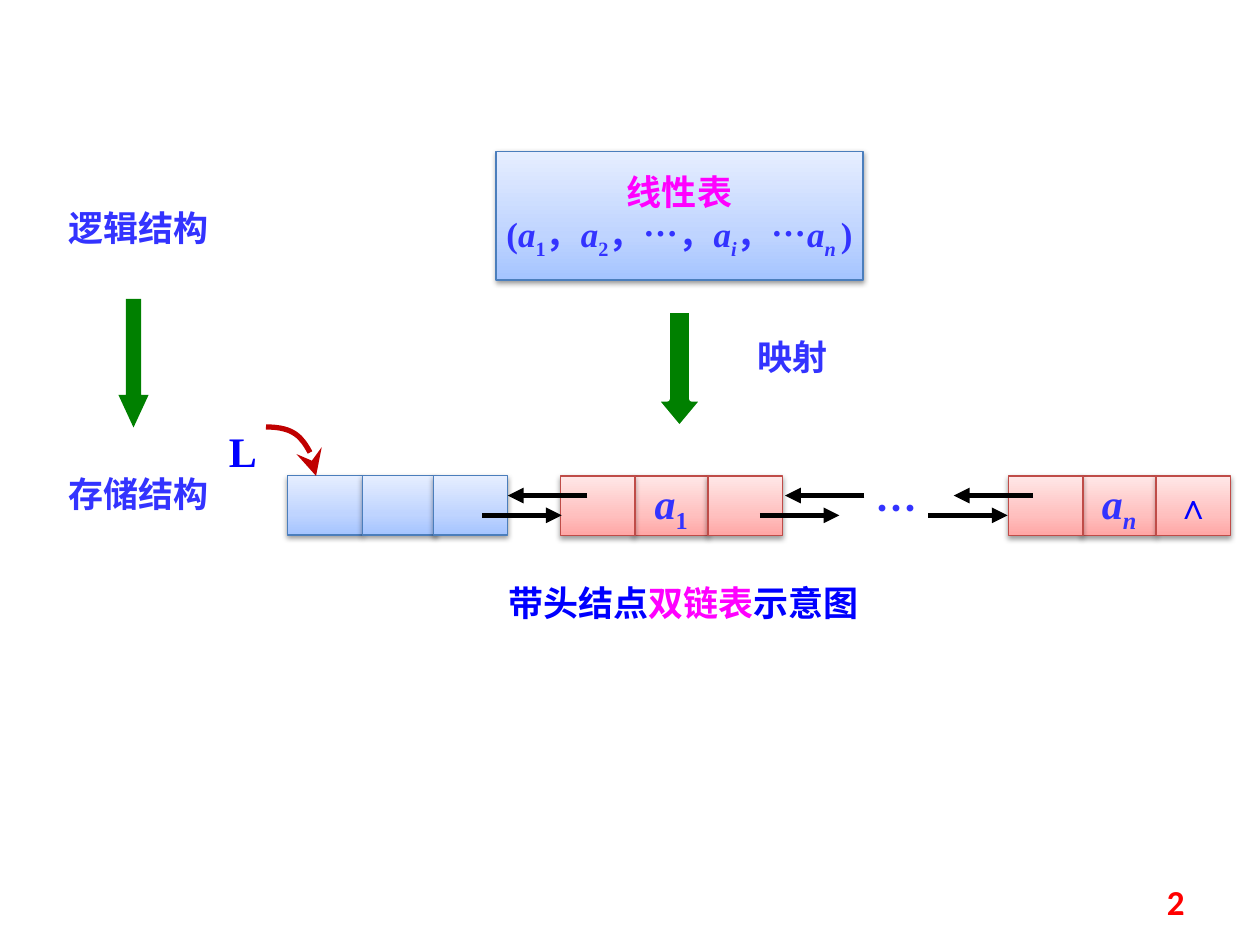
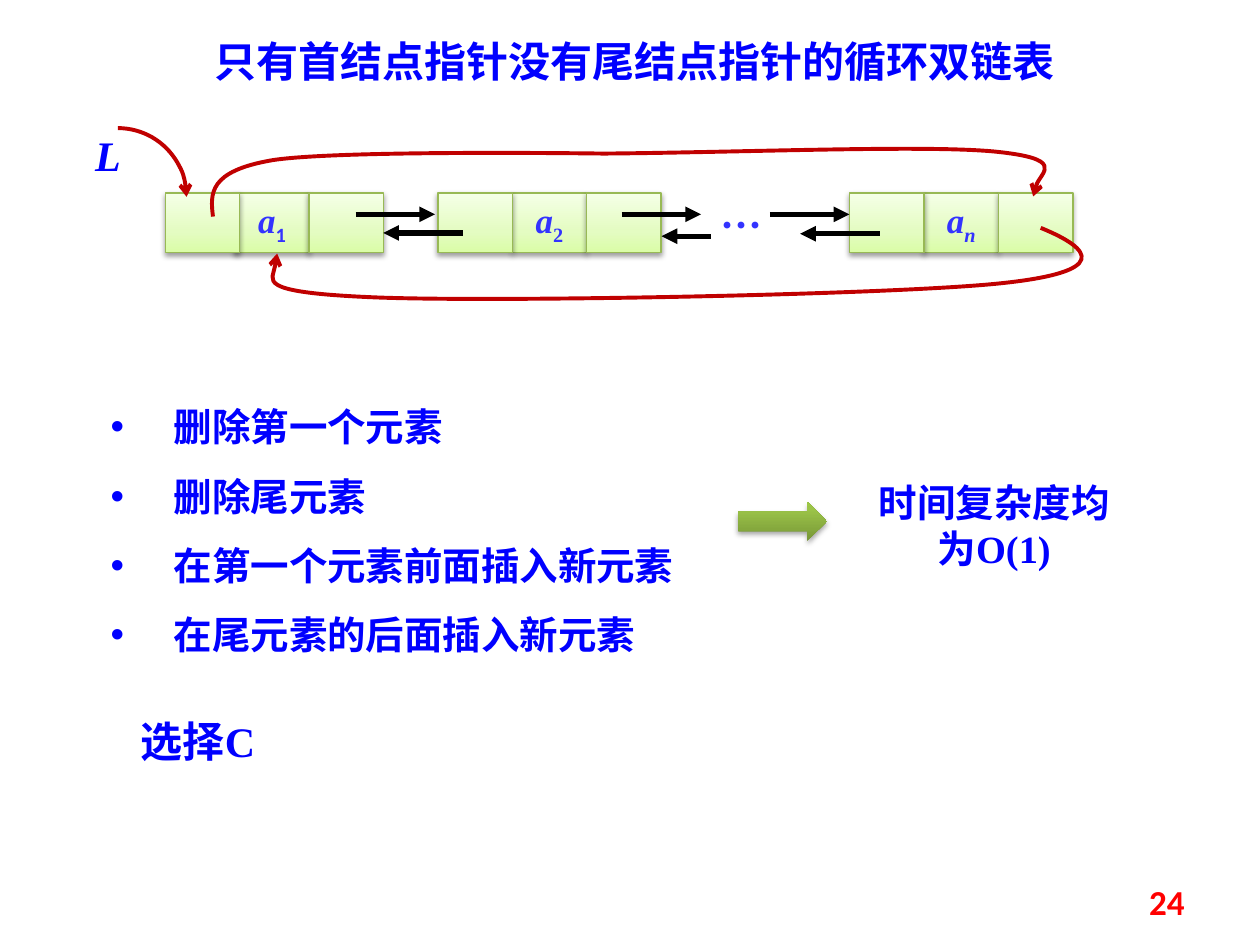
from dataclasses import dataclass

from lxml.etree import SubElement
from pptx import Presentation
from pptx.dml.color import RGBColor
from pptx.enum.shapes import MSO_CONNECTOR, MSO_SHAPE
from pptx.enum.text import MSO_ANCHOR, PP_ALIGN
from pptx.oxml.ns import qn
from pptx.util import Pt

# Shared look
LATIN, HAN, NUMBER_FONT, BULLET_FONT = "Times New Roman", "Noto Sans CJK SC", "Calibri", "Arial"
BLUE, VIOLET, MAGENTA = "0000FF", "3333FF", "FF00FF"
RED, DARK_RED, GREEN, BLACK, WHITE = "FF0000", "C00000", "008000", "000000", "FFFFFF"
# Gradient stops (percent, colour) and border of each kind of box
BLUE_BOX = ([(0, "A4C4FF"), (35, "BFD4FF"), (100, "E6EEFF")], "4B7EBC")
PINK_BOX = ([(0, "FFA6A5"), (35, "FFC0BF"), (100, "FFE7E7")], "BF4C48")
GREEN_BOX = ([(0, "DAFDA7"), (35, "E4FCC2"), (100, "F5FFE7")], "98B955")
GREEN_ARROW = [(0, "779737"), (80, "9BC348"), (100, "9DC746")]
CELL_WIDTH, CELL_HEIGHT = 42.6, 34
LINK_LENGTH = 45.4
CENTER, LEFT, RIGHT = PP_ALIGN.CENTER, PP_ALIGN.LEFT, PP_ALIGN.RIGHT


@dataclass
class Span:
    text: str
    italic: bool = False
    sub: bool = False
    colour: str = ""
    font: str = ""


def rgb(hex_colour):
    return RGBColor.from_string(hex_colour)


def indexed(index, italic=False, font=""):
    """The element name a with a subscript."""
    return [Span("a", italic=True), Span(index, italic=italic, sub=True, font=font)]


# Text
def add_span(para, span):
    run = para.add_run()
    run.text = span.text
    if span.italic:
        run.font.italic = True
    if span.sub:
        run.font._element.set("baseline", "-25000")
    if span.colour:
        run.font.color.rgb = rgb(span.colour)
    if span.font:
        run.font.name = span.font


def add_bullet(para):
    properties = para._p.get_or_add_pPr()
    properties.set("marL", str(Pt(36)))
    properties.set("indent", str(-Pt(36)))
    SubElement(properties, qn("a:buFont"), typeface=BULLET_FONT)
    SubElement(properties, qn("a:buChar"), char="•")


def write(frame, paragraphs, size, colour, font=LATIN, align=CENTER, bullets=False):
    for number, spans in enumerate(paragraphs):
        para = frame.add_paragraph() if number else frame.paragraphs[0]
        para.alignment = align
        if bullets:
            para.line_spacing = 1.5
            add_bullet(para)
        para.font.size = Pt(size)
        para.font.bold = True
        para.font.color.rgb = rgb(colour)
        para.font.name = font
        SubElement(para.font._element, qn("a:ea"), typeface=HAN)
        for span in spans:
            add_span(para, span)


def add_text(page, place, paragraphs, size, colour, **style):
    box = page.shapes.add_textbox(*map(Pt, place))
    box.text_frame.word_wrap = True
    write(box.text_frame, paragraphs, size, colour, **style)
    return box


def add_label(page, place, text, size=20, colour=VIOLET, **style):
    return add_text(page, place, [[Span(text)]], size, colour, **style)


def add_page_number(page, number):
    box = add_label(page, (516.2, 500.7, 167.8, 28.8), number, 20, RED,
                    font=NUMBER_FONT, align=RIGHT)
    box.text_frame.vertical_anchor = MSO_ANCHOR.MIDDLE


def set_title(page, place, text):
    title = page.shapes.title
    title.left, title.top, title.width, title.height = map(Pt, place)
    title.text_frame.word_wrap = True
    title.text_frame.vertical_anchor = MSO_ANCHOR.TOP
    write(title.text_frame, [[Span(text)]], 24, BLUE)


# Shapes
def fill_gradient(shape, stops):
    shape.fill.gradient()
    shape.fill.gradient_angle = 90
    stop_list = shape._element.spPr.find(".//" + qn("a:gsLst"))
    for stop in list(stop_list):
        stop_list.remove(stop)
    for percent, colour in stops:
        stop = SubElement(stop_list, qn("a:gs"), pos=str(percent * 1000))
        SubElement(stop, qn("a:srgbClr"), val=colour)


def add_shadow(shape, opacity=38, distance=1.6):
    effects = shape._element.spPr.find(qn("a:effectLst"))
    shadow = SubElement(effects, qn("a:outerShdw"), blurRad=str(Pt(3.1)),
                        dist=str(Pt(distance)), dir="5400000", rotWithShape="0")
    colour = SubElement(shadow, qn("a:srgbClr"), val=BLACK)
    SubElement(colour, qn("a:alpha"), val=str(opacity * 1000))


def add_plain(page, kind, place):
    shape = page.shapes.add_shape(kind, *map(Pt, place))
    shape.shadow.inherit = False
    shape.line.fill.background()
    return shape


def add_box(page, place, palette, paragraphs=(), size=20, colour=VIOLET):
    stops, border = palette
    box = add_plain(page, MSO_SHAPE.RECTANGLE, place)
    fill_gradient(box, stops)
    box.line.color.rgb = rgb(border)
    box.line.width = Pt(0.75)
    add_shadow(box)
    box.text_frame.word_wrap = False
    box.text_frame.vertical_anchor = MSO_ANCHOR.MIDDLE
    write(box.text_frame, paragraphs, size, colour)


def add_node(page, left, top, palette, data=None, size=20, offsets=(0, 42.5, 85),
             end=None, order=(1, 2, 0)):
    """A list node: previous pointer, data, next pointer."""
    for part in order:
        place = (left + offsets[part], top, CELL_WIDTH, CELL_HEIGHT)
        if part == 1 and data:
            add_box(page, place, palette, [data], size)
        elif part == 2 and end:
            add_box(page, place, palette, [[Span(end)]], 20, BLUE)
        else:
            add_box(page, place, palette)


def add_down_arrow(page, place, head, outline=None):
    arrow = add_plain(page, MSO_SHAPE.DOWN_ARROW, place)
    arrow.adjustments[0], arrow.adjustments[1] = 0.5, head
    arrow.fill.solid()
    arrow.fill.fore_color.rgb = rgb(GREEN)
    if outline:
        arrow.line.color.rgb = rgb(outline)
        arrow.line.width = Pt(3)


# Lines and curves
def style_line(shape, colour, width, head, head_size="med"):
    shape.line.color.rgb = rgb(colour)
    shape.line.width = Pt(width)
    SubElement(shape.line._get_or_add_ln(), qn("a:tailEnd"),
               type=head, w=head_size, len=head_size)


def add_link(page, start, end, top):
    link = page.shapes.add_connector(MSO_CONNECTOR.STRAIGHT, Pt(start), Pt(top), Pt(end), Pt(top))
    style_line(link, BLACK, 3, "triangle")
    SubElement(link._element.spPr, qn("a:effectLst"))


def add_curve(page, start, points, width=2.25, head="arrow", head_size="med"):
    """Joined cubic curves: every three points are two controls and an end."""
    builder = page.shapes.build_freeform(Pt(start[0]), Pt(start[1]))
    builder.add_line_segments([(Pt(x), Pt(y)) for x, y in points], close=False)
    curve = builder.convert_to_shape()
    outline = curve._element.spPr.find(".//" + qn("a:path"))
    segments = outline.findall(qn("a:lnTo"))
    for first in range(0, len(segments), 3):
        cubic = SubElement(outline, qn("a:cubicBezTo"))
        for segment in segments[first:first + 3]:
            cubic.append(segment[0])
            outline.remove(segment)
    curve.shadow.inherit = False
    curve.fill.background()
    style_line(curve, DARK_RED, width, head, head_size)


def build_mapping_page(deck):
    page = deck.slides.add_slide(deck.slide_layouts[6])
    # Logical structure
    sequence = [Span("("), *indexed("1"), Span("，"), *indexed("2"), Span("，…，"),
                *indexed("i", True), Span("，…"), *indexed("n ", True), Span(")")]
    add_box(page, (283.5, 86.4, 209.7, 73.7), BLUE_BOX,
            [[Span("线性表", colour=MAGENTA)], sequence])
    add_down_arrow(page, (374.3, 177.3, 28, 67.5), 0.6, WHITE)
    add_label(page, (413.6, 188.4, 78.5, 31), "映射", font=HAN)
    add_label(page, (11.2, 114.3, 136, 31.5), "逻辑结构", font=HAN)
    add_down_arrow(page, (67.7, 170.8, 17.2, 73.5), 1.08)
    add_label(page, (11.2, 266.2, 136, 31.5), "存储结构", font=HAN)

    # Linked nodes
    top = 272
    add_node(page, 164.4, top - 0.2, BLUE_BOX, offsets=(0, 42.7, 83.2), order=(0, 1, 2))
    add_node(page, 320.2, top, PINK_BOX, indexed("1"), 24, offsets=(0, 42, 84.4))
    add_node(page, 576.2, top, PINK_BOX, indexed("n", True), 24, offsets=(0, 42, 84.4), end="∧")
    add_label(page, (489.4, top, LINK_LENGTH, 36), "…", 24, font=HAN)
    for start in (275.6, 434.2, 530.4):
        add_link(page, start, start + LINK_LENGTH, 294.5)
    for end in (290.2, 448.6, 545):
        add_link(page, end + LINK_LENGTH, end, 283.2)

    # Head pointer and caption
    add_curve(page, (152, 244), [(168, 244), (180.6, 256.4), (180.6, 272)], 3, "stealth", "lg")
    add_label(page, (123.8, 239.8, 33.8, 36), "L", 24, BLUE, align=LEFT)
    caption = [Span("带头结点"), Span("双链表", colour=MAGENTA), Span("示意图")]
    add_text(page, (258.6, 328.6, 264.2, 31.5), [caption], 20, BLUE, font=HAN)
    add_page_number(page, "2")


def build_circular_page(deck):
    page = deck.slides.add_slide(deck.slide_layouts[5])
    set_title(page, (112.3, 16.6, 500.4, 36), "只有首结点指针没有尾结点指针的循环双链表")

    # Circular list
    top = 110.2
    add_node(page, 94.4, top, GREEN_BOX, indexed("1", font=NUMBER_FONT), offsets=(0, 39.8, 82.2))
    add_node(page, 250.2, top, GREEN_BOX, indexed("2"))
    add_node(page, 485.5, top, GREEN_BOX, indexed("n", True))
    add_label(page, (401, top, LINK_LENGTH, 36), "…", 24, font=HAN)
    for start in (203.2, 355.2, 440):
        add_link(page, start, start + LINK_LENGTH, 122.5)
    for start, end, height in ((264.4, 219, 133.1), (406.2, 378, 135), (502.6, 457.2, 133.6)):
        add_link(page, start, end, height)

    # Head pointer and the two closing links
    head_arc = add_plain(page, MSO_SHAPE.ARC, (28.1, 73.2, 78.5, 78.5))
    head_arc.fill.background()
    style_line(head_arc, DARK_RED, 2.25, "arrow")
    add_text(page, (44.8, 70.6, 33.8, 36), [[Span("L", italic=True)]], 24, BLUE)
    add_curve(page, (121.7, 123.8), [
        (120.2, 110.9), (118.8, 97.9), (155.5, 91.6),
        (193, 85.6), (344.9, 87.8), (344.9, 87.8),
        (426.2, 87.1), (527, 82.8), (568.1, 86.6),
        (609.1, 90.7), (589.7, 103.7), (590.4, 112.3)])
    add_curve(page, (594.7, 130.2), [
        (625, 142.6), (634.3, 155.5), (571, 162),
        (507.6, 168.5), (281.5, 172.8), (213.1, 169.9),
        (144.7, 167), (157.7, 156.2), (158.4, 144.9)])

    # Operations and their cost
    operations = ["删除第一个元素", "删除尾元素", "在第一个元素前面插入新元素", "在尾元素的后面插入新元素"]
    add_text(page, (56.2, 213.8, 343.4, 162), [[Span(text)] for text in operations],
             22, BLUE, align=LEFT, bullets=True)
    arrow = add_plain(page, MSO_SHAPE.RIGHT_ARROW, (421.9, 286.7, 50.6, 22.5))
    fill_gradient(arrow, GREEN_ARROW)
    add_shadow(arrow, 35, 1.8)
    add_label(page, (489.3, 270, 157.7, 60.5), "时间复杂度均为O(1)", 22, BLUE)
    add_label(page, (73.4, 405.1, 123.8, 36), "选择C", 24, BLUE, align=LEFT)
    add_page_number(page, "24")


def main():
    deck = Presentation()
    deck.slide_width, deck.slide_height = Pt(720), Pt(540)
    build_mapping_page(deck)
    build_circular_page(deck)
    deck.save("out.pptx")


if __name__ == "__main__":
    main()
